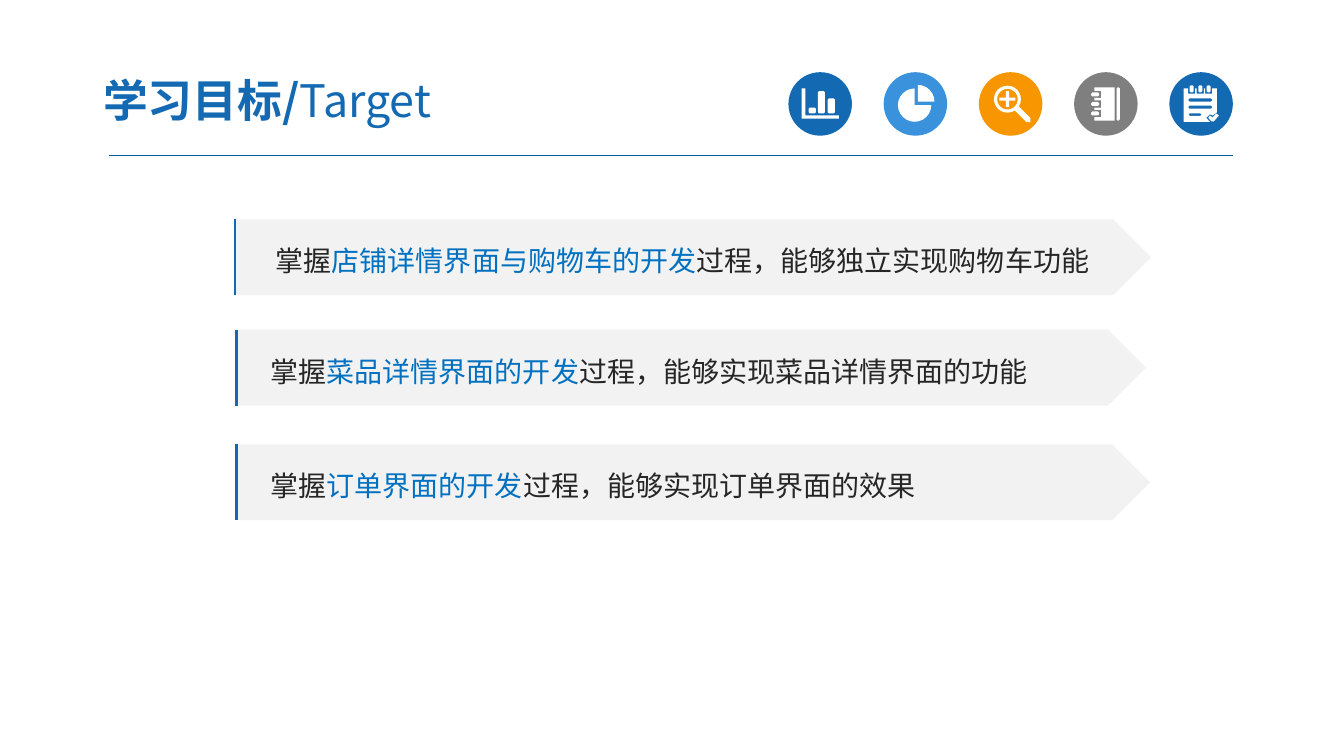
from math import cos, radians, sin

from lxml import etree
from pptx import Presentation
from pptx.dml.color import RGBColor
from pptx.enum.shapes import MSO_CONNECTOR, MSO_SHAPE
from pptx.enum.text import MSO_ANCHOR, PP_ALIGN
from pptx.oxml.ns import qn
from pptx.util import Cm, Pt

OVAL, ARROW = MSO_SHAPE.OVAL, MSO_SHAPE.PENTAGON
STRAIGHT = MSO_CONNECTOR.STRAIGHT
MIDDLE, LEFT = MSO_ANCHOR.MIDDLE, PP_ALIGN.LEFT

FONT = "Noto Sans CJK SC"
BLUE, SKY, AMBER, GRAY = "1369B2", "3992DB", "F79600", "7F7F7F"
WHITE, PALE, INK, KEY, RULE = "FFFFFF", "F2F2F2", "262626", "0070C0", "005B9E"

TITLE = [("学习目标/", True), ("Target", False)]

# left, top, width, text inset (cm), then the text around the key phrase
GOALS = [
    (5.9, 5.53, 23.11, 1.05,
     ("掌握", "店铺详情界面与购物车的开发", "过程，能够独立实现购物车功能")),
    (5.94, 8.31, 22.94, 0.88,
     ("掌握", "菜品详情界面的开发", "过程，能够实现菜品详情界面的功能")),
    (5.94, 11.2, 23.04, 0.88,
     ("掌握", "订单界面的开发", "过程，能够实现订单界面的效果")),
]
GOAL_H = 1.91


def bar(x, y, w, h, cut=0.03):
    """Outline of a box with its corners cut."""
    r, b = x + w, y + h
    return [(x + cut, y), (r - cut, y), (r, y + cut), (r, b - cut),
            (r - cut, b), (x + cut, b), (x, b - cut), (x, y + cut)]


def arc(x, y, radius, start, end, step=15):
    """Points on a circle, clockwise from the right."""
    count = round((end - start) / step)
    turns = [radians(start + (end - start) * i / count) for i in range(count + 1)]
    return [(x + radius * cos(t), y + radius * sin(t)) for t in turns]


# Icons: outlines within the badge (cm); an outline inside another is a hole
CHART = [
    [(0.33, 0.41), (0.43, 0.41), (0.43, 1.09), (1.27, 1.09), (1.27, 1.17), (0.33, 1.17)],
    bar(0.51, 0.89, 0.18, 0.15),
    bar(0.74, 0.48, 0.18, 0.56),
    bar(0.99, 0.66, 0.18, 0.38),
]
SHARE = [
    [(0.78, 0.83)] + arc(0.78, 0.83, 0.42, 0, 270),
    [(0.86, 0.74)] + arc(0.86, 0.74, 0.42, 270, 360),
]
ZOOM = [
    arc(0.72, 0.68, 0.34, 57, 393) + [(1.3, 1.16), (1.3, 1.26), (1.2, 1.26)],
    arc(0.72, 0.68, 0.26, 0, 345),
    [(0.68, 0.48), (0.76, 0.48), (0.76, 0.64), (0.92, 0.64), (0.92, 0.72), (0.76, 0.72),
     (0.76, 0.88), (0.68, 0.88), (0.68, 0.72), (0.52, 0.72), (0.52, 0.64), (0.68, 0.64)],
]
RINGS = (0.51, 0.75, 0.99)
spine = [(x, y + dy) for y in RINGS
         for x, dy in ((0.51, -0.04), (0.68, -0.04), (0.68, 0.14), (0.51, 0.14))]
BOOK = [
    [(0.51, 0.38)] + spine + [(0.51, 1.22), (1.02, 1.22), (1.02, 0.38)],
    bar(1.07, 0.38, 0.08, 0.84),
] + [bar(0.43, y, 0.2, 0.1) for y in RINGS]

PINS = (0.51, 0.73, 0.94)
edge = [(x + dx, y) for x in PINS
        for dx, y in ((-0.04, 0.41), (-0.04, 0.54), (0.14, 0.54), (0.14, 0.41))]
NOTES = [
    [(0.36, 0.41)] + edge + [(1.2, 0.41), (1.2, 1.01), (1.09, 1.09), (1.02, 1.06),
                             (0.93, 1.15), (1.02, 1.25), (0.36, 1.25)],
    [(0.98, 1.15), (1.02, 1.09), (1.09, 1.14), (1.18, 1.04),
     (1.25, 1.09), (1.12, 1.24), (1.06, 1.24)],
    bar(0.48, 0.66, 0.6, 0.08),
    bar(0.48, 0.84, 0.6, 0.08),
    bar(0.48, 1.04, 0.33, 0.06),
] + [bar(x, 0.33, 0.1, 0.18) for x in PINS]

BADGES = [(BLUE, CHART), (SKY, SHARE), (AMBER, ZOOM), (GRAY, BOOK), (BLUE, NOTES)]
BADGE_X, BADGE_Y, BADGE_D, STEP = 19.87, 1.82, 1.6, 2.4

deck = Presentation()
deck.slide_width, deck.slide_height = Cm(33.87), Cm(19.05)
slide = deck.slides.add_slide(deck.slide_layouts[6])
shapes = slide.shapes


def rgb(code):
    return RGBColor.from_string(code)


def paint(shape, color):
    """Give a flat fill with no line or shadow."""
    shape.shadow.inherit = False
    shape.fill.solid()
    shape.fill.fore_color.rgb = rgb(color)
    shape.line.fill.background()


def block(kind, box, color):
    shape = shapes.add_shape(kind, *map(Cm, box))
    paint(shape, color)
    return shape


def draw(loops, left, top):
    """Join all outlines of an icon into one white shape."""
    pen = None
    for loop in loops:
        dots = [(Cm(left + x), Cm(top + y)) for x, y in loop]
        if pen is None:
            pen = shapes.build_freeform(*dots[0])
        else:
            pen.move_to(*dots[0])
        pen.add_line_segments(dots[1:], close=True)
    paint(pen.convert_to_shape(), WHITE)


def line(x1, y1, x2, y2, color, width):
    link = shapes.add_connector(STRAIGHT, Cm(x1), Cm(y1), Cm(x2), Cm(y2))
    link.line.color.rgb = rgb(color)
    link.line.width = Pt(width)
    etree.SubElement(link._element.spPr, qn("a:effectLst"))


def write(para, text, size, color, bold=False):
    run = para.add_run()
    run.text = text
    font = run.font
    font.name, font.size, font.bold = FONT, Pt(size), bold
    font.color.rgb = rgb(color)
    props = run._r.get_or_add_rPr()
    etree.SubElement(props, qn("a:ea")).set("typeface", FONT)


line(2.75, 3.93, 31.07, 3.93, RULE, 0.75)

for i, (color, loops) in enumerate(BADGES):
    left = BADGE_X + i * STEP
    block(OVAL, (left, BADGE_Y, BADGE_D, BADGE_D), color)
    draw(loops, left, BADGE_Y)

title = shapes.add_textbox(Cm(2.27), Cm(1.6), Cm(13.26), Cm(1.83)).text_frame
title.word_wrap = True
title.vertical_anchor = MIDDLE
title.margin_left = title.margin_right = Cm(0.33)
title.margin_top = title.margin_bottom = Cm(0.18)
for text, bold in TITLE:
    write(title.paragraphs[0], text, 32, BLUE, bold)

for left, top, width, inset, texts in GOALS:
    frame = block(ARROW, (left, top, width, GOAL_H), PALE).text_frame
    frame.word_wrap = True
    frame.vertical_anchor = MIDDLE
    frame.margin_left = Cm(inset)
    para = frame.paragraphs[0]
    para.alignment = LEFT
    para.line_spacing = 1.2
    for text, color in zip(texts, (INK, KEY, INK)):
        write(para, text, 20, color)
    line(left + 0.02, top, left + 0.02, top + GOAL_H, BLUE, 1.5)

deck.save("out.pptx")
